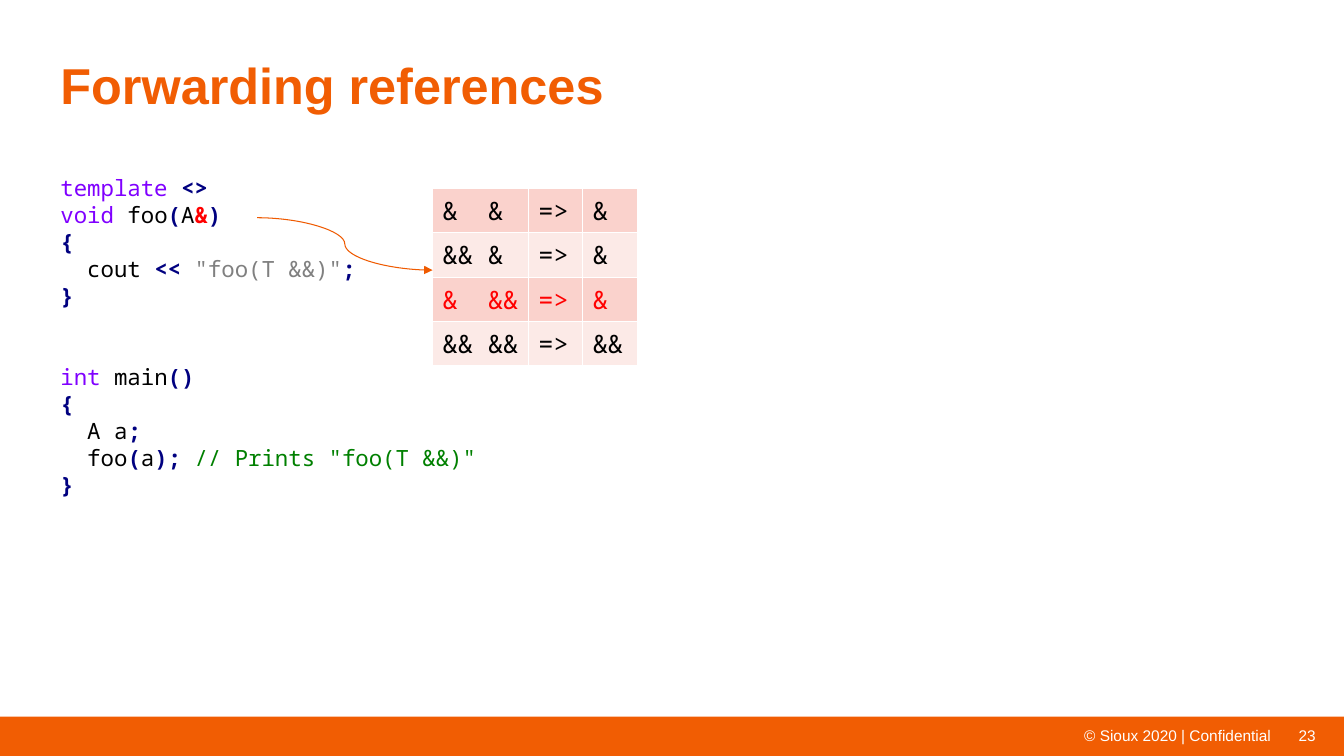
from lxml.etree import SubElement as Sub
from pptx import Presentation
from pptx.dml.color import RGBColor
from pptx.enum.shapes import MSO_CONNECTOR as Link, MSO_SHAPE as Form
from pptx.enum.text import MSO_ANCHOR as Anchor, PP_ALIGN as Align
from pptx.oxml.ns import qn
from pptx.util import Inches, Pt

ORANGE, WHITE, BLACK = "F15D03", "FFFFFF", "000000"
VIOLET, NAVY, RED = "8000FF", "000080", "FF0000"
GRAY, GREEN = "808080", "008000"
MONO = "Noto Sans Mono"

TITLE = "Forwarding references"
FOO = [
    ("template", VIOLET), (" ", BLACK), ("<>\n", NAVY),
    ("void", VIOLET), (" foo", BLACK), ("(", NAVY), ("A", BLACK),
    ("&", RED), (")\n{\n", NAVY),
    ("  cout ", BLACK), ("<<", NAVY), (" ", BLACK),
    ('"foo(T &&)"', GRAY), (";\n}", NAVY),
]
MAIN = [
    ("int", VIOLET), (" main", BLACK), ("()\n{\n", NAVY),
    ("  A a", BLACK), (";\n", NAVY),
    ("  foo", BLACK), ("(", NAVY), ("a", BLACK), (");", NAVY),
    (" ", BLACK), ('// Prints "foo(T &&)"\n', GREEN), ("}", NAVY),
]
RULES = [
    ("&  &", "=>", "&"),
    ("&& &", "=>", "&"),
    ("&  &&", "=>", "&"),
    ("&& &&", "=>", "&&"),
]
HOT = 2
BANDS = ["FAD2CC", "FCEAE7"]
WIDTHS = [0.95, 0.54, 0.54]
ROW = 0.44
FOOT = [
    ("© Sioux 2020 | Confidential", 10.64, 7.2, 2.01, 0.19, Align.RIGHT, 0.04),
    ("23", 12.81, 7.2, 0.31, 0.2, Align.CENTER, 0),
]


def rgb(code):
    return RGBColor.from_string(code)


def place(shape, *box):
    shape.left, shape.top, shape.width, shape.height = map(Inches, box)


def write(frame, paras, size=16, font="Arial", color=BLACK, bold=(),
          align=Align.LEFT, space=1.0, gap=0, side=0,
          anchor=Anchor.TOP, wrap=True):
    frame.word_wrap = wrap
    frame.vertical_anchor = anchor
    frame.margin_left = frame.margin_right = Inches(side)
    frame.margin_top = frame.margin_bottom = 0
    for i, runs in enumerate(paras):
        para = frame.add_paragraph() if i else frame.paragraphs[0]
        para.alignment = align
        para.line_spacing = space
        para.space_before = Pt(gap if i else 0)
        if isinstance(runs, str):
            runs = [(runs, color)]
        for text, tint in runs:
            for j, part in enumerate(text.split("\n")):
                if j:
                    para.add_line_break()
                if part:
                    run = para.add_run()
                    run.text = part
                    run.font.size = Pt(size)
                    run.font.name = font
                    run.font.bold = tint in bold
                    run.font.color.rgb = rgb(tint)


def block(slide, *box):
    shape = slide.shapes.add_shape(Form.RECTANGLE, *map(Inches, box))
    shape.shadow.inherit = False
    shape.fill.solid()
    shape.fill.fore_color.rgb = rgb(ORANGE)
    shape.line.fill.background()
    return shape


def edge(cell):
    props = cell._tc.get_or_add_tcPr()
    for i, side in enumerate(("lnL", "lnR", "lnT", "lnB")):
        line = props.makeelement(qn("a:" + side), {"w": str(Pt(1))})
        fill = Sub(line, qn("a:solidFill"))
        Sub(fill, qn("a:srgbClr"), val=WHITE)
        props.insert(i, line)


def main():
    deck = Presentation()
    deck.slide_width, deck.slide_height = Inches(13.33), Inches(7.5)
    slide = deck.slides.add_slide(deck.slide_layouts[5])

    block(slide, 0, 7.11, 13.33, 0.39)
    title = slide.shapes.title
    place(title, 0.6, 0.6, 12.13, 1.22)
    write(title.text_frame, [TITLE], size=36, color=ORANGE, bold=[ORANGE],
          space=0.9)

    for text, x, y, w, h, align, side in FOOT:
        note = block(slide, x, y, w, h)
        write(note.text_frame, [text], size=11, color=WHITE, align=align,
              side=side, anchor=Anchor.MIDDLE, wrap=False)

    code = slide.shapes.add_textbox(*map(Inches, (0.6, 1.73, 12.13, 2.02)))
    write(code.text_frame, [FOO, MAIN], font=MONO, bold=[NAVY, RED], gap=39)

    grid = slide.shapes.add_table(
        len(RULES), len(WIDTHS), Inches(4.29), Inches(1.87),
        Inches(sum(WIDTHS)), Inches(ROW * len(RULES))).table
    for col, width in zip(grid.columns, WIDTHS):
        col.width = Inches(width)
    for r, rule in enumerate(RULES):
        grid.rows[r].height = Inches(ROW)
        for c, text in enumerate(rule):
            cell = grid.cell(r, c)
            cell.fill.solid()
            cell.fill.fore_color.rgb = rgb(BANDS[r % 2])
            edge(cell)
            run = cell.text_frame.paragraphs[0].add_run()
            run.text = text
            run.font.size = Pt(18)
            run.font.name = MONO
            run.font.bold = False
            run.font.color.rgb = rgb(RED if r == HOT else BLACK)

    arrow = slide.shapes.add_connector(
        Link.CURVE, *map(Inches, (2.55, 2.16, 4.29, 2.68)))
    arrow.line.color.rgb = rgb("EF5A00")
    arrow.line.width = Pt(0.75)
    Sub(arrow.line._get_or_add_ln(), qn("a:tailEnd"), type="triangle")
    Sub(arrow._element.spPr, qn("a:effectLst"))

    deck.save("out.pptx")


if __name__ == "__main__":
    main()
